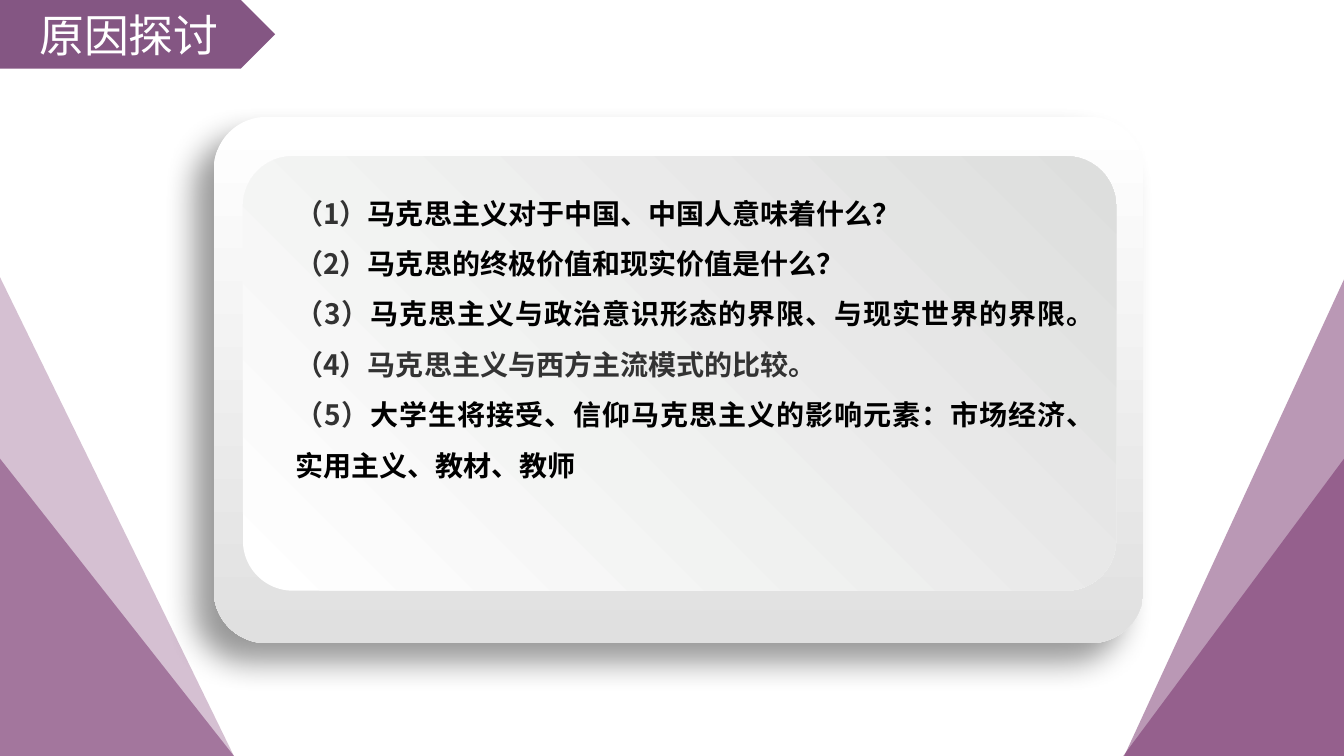
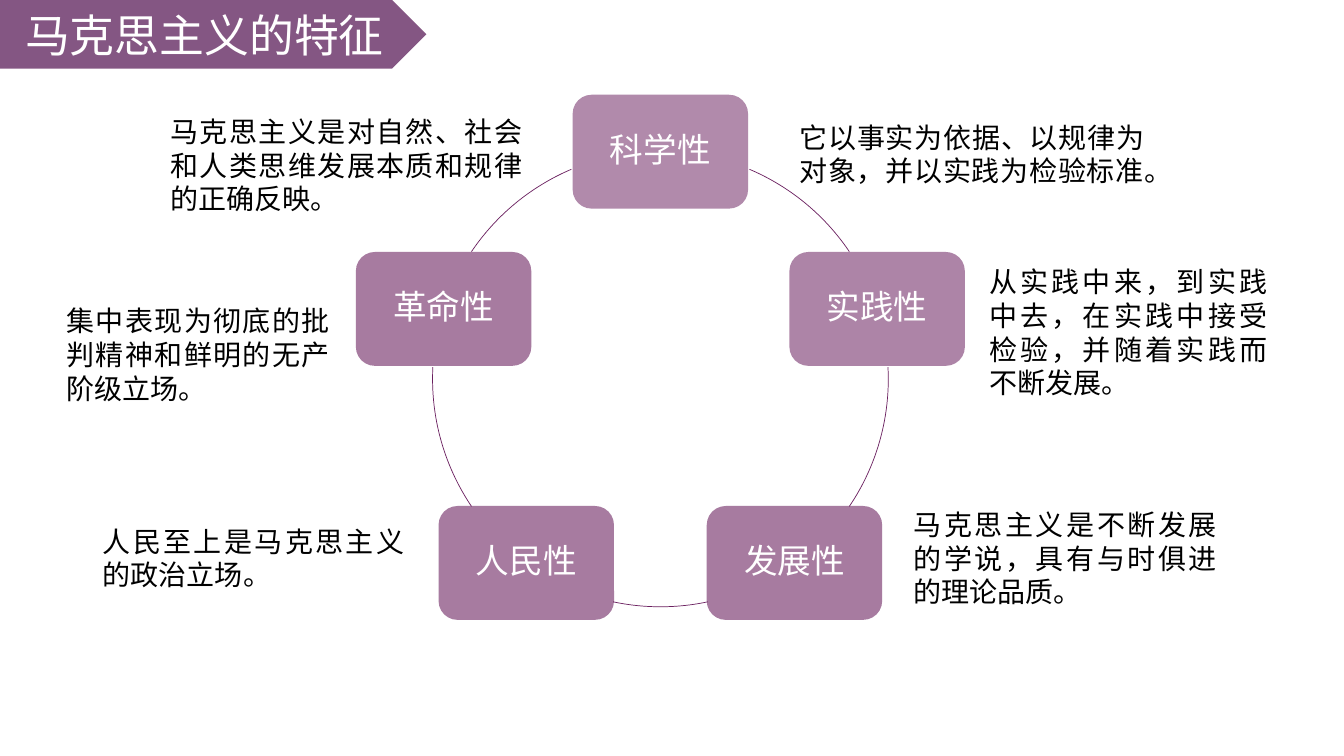
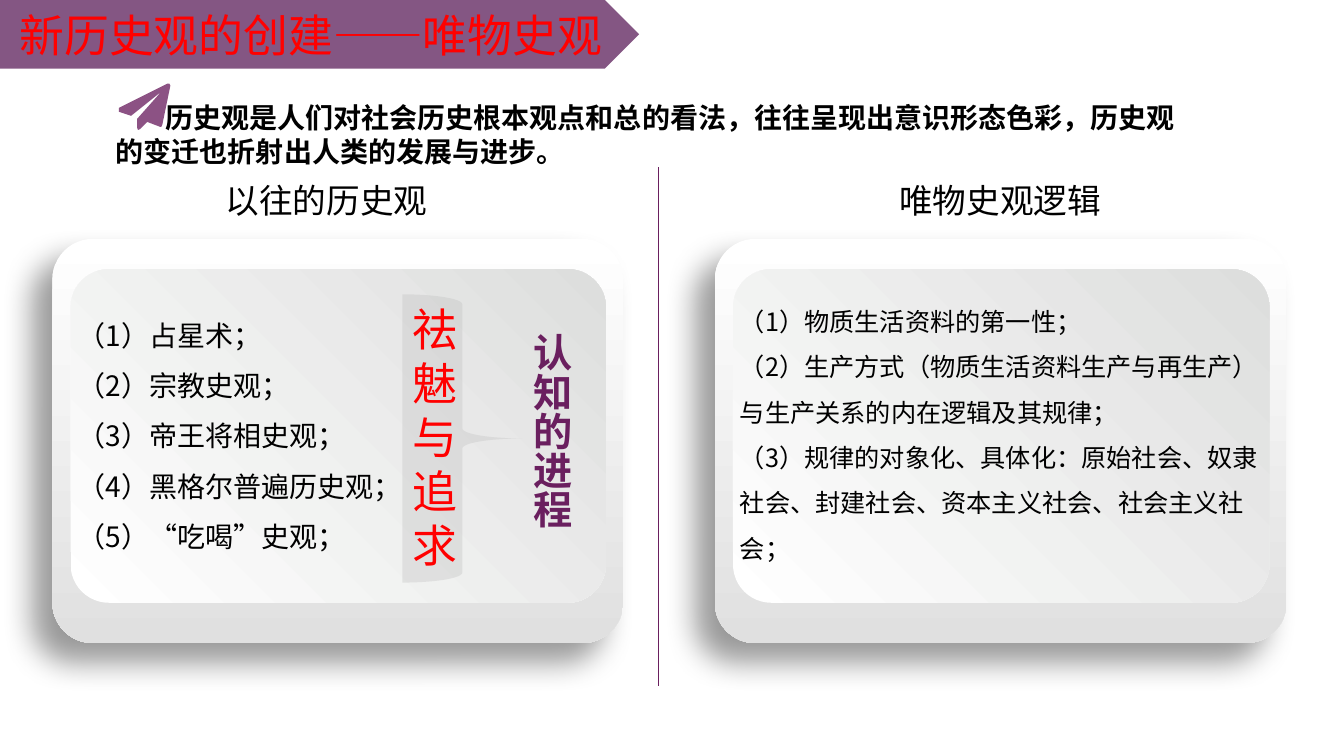
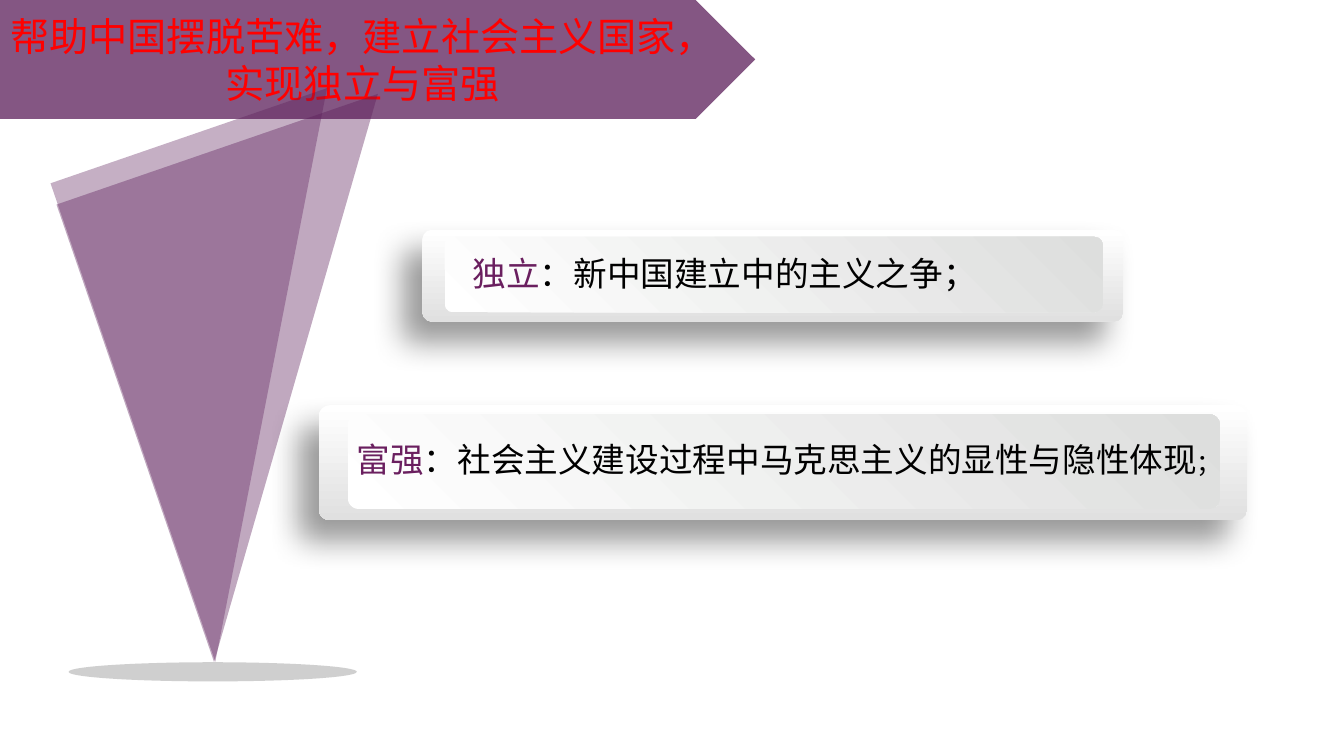
import math

import lxml.etree
import pptx
import pptx.dml.color
import pptx.enum.shapes
import pptx.enum.text
import pptx.oxml.ns
import pptx.util

# Shared style
PX = 9144  # EMU per px, 100 px to the inch
FONT = "Noto Sans CJK SC"
COLORS = {
    "band": "5A1B58",
    "purple": "6A1F5F",
    "white": "FFFFFF",
    "black": "000000",
    "ink": "333333",
    "red": "FF0000",
    "silver": "BFBFBF",
    "rim": "E0E0E0",
    "face": "DDDEDD",
}
SHAPES = pptx.enum.shapes.MSO_SHAPE
ALIGN = pptx.enum.text.PP_ALIGN
ANCHOR = pptx.enum.text.MSO_ANCHOR
qn = pptx.oxml.ns.qn


def rgb(name):
    return pptx.dml.color.RGBColor.from_string(COLORS[name])


def emu(box):
    return [round(value) * PX for value in box]


# Fills and outlines
def fill_solid(shape, color, opacity=100):
    shape.shadow.inherit = False
    shape.line.fill.background()
    shape.fill.solid()
    shape.fill.fore_color.rgb = rgb(color)
    if opacity < 100:
        color_element = shape._element.spPr.find(qn("a:solidFill"))[0]
        alpha = lxml.etree.SubElement(color_element, qn("a:alpha"))
        alpha.set("val", str(opacity * 1000))


def fill_gradient(shape, end_color, angle):
    shape.shadow.inherit = False
    shape.line.fill.background()
    shape.fill.gradient()
    shape.fill.gradient_angle = angle
    for stop, color in zip(shape.fill.gradient_stops, ("white", end_color)):
        stop.color.rgb = rgb(color)


def cast_shadow(shape):
    effects = shape._element.spPr.find(qn("a:effectLst"))
    shadow = lxml.etree.SubElement(effects, qn("a:outerShdw"))
    settings = {"blurRad": 22 * 12700, "dist": 20 * 12700,
                "dir": 135 * 60000, "algn": "tr", "rotWithShape": 0}
    for key, value in settings.items():
        shadow.set(key, str(value))
    color = lxml.etree.SubElement(shadow, qn("a:srgbClr"))
    color.set("val", COLORS["black"])
    lxml.etree.SubElement(color, qn("a:alpha")).set("val", "40000")


# Text
def write_text(shape, paragraphs, size, colors=("black",), bold=False,
               align=ALIGN.LEFT, anchor=ANCHOR.TOP, spacing=None, margin=None):
    """Each paragraph is a list of pieces, coloured in turn by colors."""
    frame = shape.text_frame
    frame.word_wrap = True
    frame.vertical_anchor = anchor
    if margin is not None:
        frame.margin_left = frame.margin_right = margin * PX
    for index, pieces in enumerate(paragraphs):
        paragraph = frame.paragraphs[0] if index == 0 else frame.add_paragraph()
        paragraph.text = pieces[0]
        for piece in pieces[1:]:
            paragraph.add_run().text = piece
        paragraph.alignment = align
        paragraph.line_spacing = spacing
        for run, color in zip(paragraph.runs, colors):
            run.font.size = pptx.util.Pt(size)
            run.font.bold = bold
            run.font.color.rgb = rgb(color)
            run.font.name = FONT
            east_asian = lxml.etree.SubElement(run._r.get_or_add_rPr(), qn("a:ea"))
            east_asian.set("typeface", FONT)
    return frame


def add_text(slide, box, paragraphs, size, **style):
    return write_text(slide.shapes.add_textbox(*emu(box)), paragraphs, size, **style)


# Elements
def add_title(slide, title, width, height=68, size=32, color="white"):
    band = slide.shapes.add_shape(SHAPES.PENTAGON, *emu((0, 0, width, height)))
    fill_solid(band, "band", 74)
    write_text(band, [[title]], size, colors=(color,),
               align=ALIGN.CENTER, anchor=ANCHOR.MIDDLE)


def add_triangle(slide, box, color, opacity, rotation=0, flipped=False):
    triangle = slide.shapes.add_shape(SHAPES.RIGHT_TRIANGLE, *emu(box))
    fill_solid(triangle, color, opacity)
    triangle.rotation = rotation
    if flipped:
        triangle._element.spPr.get_or_add_xfrm().set("flipH", "1")


def add_panel(slide, left, top, width, height):
    """A raised frame with an inset face in fixed proportion."""
    outer = slide.shapes.add_shape(
        SHAPES.ROUNDED_RECTANGLE, *emu((left, top, width, height)))
    outer.adjustments[0] = 0.1
    fill_gradient(outer, "rim", 270)
    cast_shadow(outer)
    inner = slide.shapes.add_shape(SHAPES.ROUNDED_RECTANGLE, *emu((
        left + 0.031 * width, top + 0.075 * height, 0.939 * width, 0.825 * height)))
    inner.adjustments[0] = 0.115
    fill_gradient(inner, "face", 45)


def add_node(slide, center_x, center_y, label, opacity):
    width, height = 174, 113
    node = slide.shapes.add_shape(SHAPES.ROUNDED_RECTANGLE, *emu((
        center_x - width / 2, center_y - height / 2, width, height)))
    fill_solid(node, "purple", opacity)
    frame = write_text(node, [[label]], 24, colors=("white",), align=ALIGN.CENTER,
                       anchor=ANCHOR.MIDDLE, spacing=0.9)
    frame.paragraphs[0].space_after = pptx.util.Pt(8)


def add_arc(slide, center_x, center_y, radius, start, end):
    arc = slide.shapes.add_shape(SHAPES.ARC, *emu((
        center_x - radius, center_y - radius, 2 * radius, 2 * radius)))
    arc.shadow.inherit = False
    arc.fill.background()
    arc.line.color.rgb = rgb("purple")
    arc.line.width = pptx.util.Pt(0.5)
    for index, degrees in enumerate((start, end)):
        arc.adjustments[index] = degrees % 360 * 0.6  # 60000 units per degree


def add_divider(slide, x, top, bottom):
    line = slide.shapes.add_connector(
        pptx.enum.shapes.MSO_CONNECTOR.STRAIGHT, *emu((x, top, x, bottom)))
    line.line.color.rgb = rgb("purple")
    line.line.width = pptx.util.Pt(0.5)
    lxml.etree.SubElement(line._element.spPr, qn("a:effectLst"))


def add_paper_plane(slide):
    points = [(169, 85), (161, 124), (160, 126), (159, 126), (146, 121),
              (139, 128), (137, 129), (136, 127), (136, 118), (160, 91),
              (130, 115), (118, 111), (118, 107), (166, 83), (168, 83)]
    builder = slide.shapes.build_freeform(*points[0], scale=PX)
    builder.add_line_segments(points[1:], close=True)
    fill_solid(builder.convert_to_shape(), "purple", 77)


# Slides
def build_reasons(slide):
    add_title(slide, "原因探讨", 273)
    add_triangle(slide, (0, 275, 232, 475), "purple", 28)
    add_triangle(slide, (0, 455, 232, 295), "purple", 46)
    add_panel(slide, 212, 116, 922, 522)
    add_text(slide, (283, 173, 785, 313), [
        ["（1）", "马克思主义对于中国、中国人意味着什么？"],
        ["（2）", "马克思的终极价值和现实价值是什么？"],
        ["（3）", "马克思主义与政治意识形态的界限、与现实世界的界限。"],
        ["（4）马克思主义与西方主流模式的比较。"],
        ["（5）", "大学生将接受、信仰马克思主义的影响元素：市场经济、实用主义、教材、教师"],
    ], 20, colors=("ink", "black"), bold=True, align=ALIGN.JUSTIFY, spacing=1.5)
    add_triangle(slide, (987, 403, 475, 219), "purple", 46, rotation=270)
    add_triangle(slide, (1076, 493, 295, 219), "purple", 46, rotation=270)


def build_features(slide):
    add_title(slide, "马克思主义的特征", 423)
    center_x, center_y, radius = 655, 376, 226
    nodes = [("科学性", 52), ("实践性", 55), ("发展性", 59), ("人民性", 59), ("革命性", 59)]
    arcs = [(-67, -34), (-3, 34), (78, 102), (146, 183), (214, 247)]
    for index, ((label, opacity), (start, end)) in enumerate(zip(nodes, arcs)):
        angle = math.radians(360 / len(nodes) * index - 90)
        add_node(slide, center_x + radius * math.cos(angle),
                 center_y + radius * math.sin(angle), label, opacity)
        add_arc(slide, center_x, center_y, radius, start, end)
    captions = [
        (152, 93, 383, "马克思主义是对自然、社会和人类思维发展本质和规律的正确反映。"),
        (776, 82, 376, "它以事实为依据、以规律为对象，并以实践为检验标准。"),
        (964, 259, 310, "从实践中来，到实践中去，在实践中接受检验，并随着实践而不断发展。"),
        (49, 281, 295, "集中表现为彻底的批判精神和鲜明的无产阶级立场。"),
        (85, 483, 333, "人民至上是马克思主义的政治立场。"),
        (889, 483, 335, "马克思主义是不断发展的学说，具有与时俱进的理论品质。"),
    ]
    for left, top, width, caption in captions:
        add_text(slide, (left, top, width, 141), [[caption]], 20,
                 align=ALIGN.JUSTIFY, anchor=ANCHOR.MIDDLE, margin=17)


def build_history_views(slide):
    add_title(slide, "新历史观的创建——唯物史观", 634, color="red")
    frame = add_text(slide, (105, 95, 1096, 77), [[
        "历史观是人们对社会历史根本观点和总的看法，往往呈现出意识形态色彩，"
        "历史观的变迁也折射出人类的发展与进步。"]], 20, bold=True)
    frame.paragraphs[0]._p.get_or_add_pPr().set("indent", str(49 * PX))
    add_paper_plane(slide)
    add_divider(slide, 653, 166, 681)

    # Earlier views
    add_text(slide, (214, 174, 242, 50), [["以往的历史观"]], 24)
    add_panel(slide, 52, 237, 566, 401)
    add_text(slide, (67, 294, 345, 263), [
        ["（1）占星术；"],
        ["（2）宗教史观；"],
        ["（3）帝王将相史观；"],
        ["（4）黑格尔普遍历史观；"],
        ["（5）“吃喝”史观；"],
    ], 20, spacing=1.5)
    brace = slide.shapes.add_shape(SHAPES.RIGHT_BRACE, *emu((399, 292, 119, 286)))
    fill_solid(brace, "silver", 34)
    write_text(brace, [["祛魅与追求"]], 32, colors=("red",))
    frame = add_text(slide, (508, 321, 67, 232), [["认知的进程"]], 28,
                     colors=("purple",), bold=True)
    frame._txBody.bodyPr.set("vert", "eaVert")

    # Materialist view
    add_panel(slide, 709, 237, 567, 401)
    add_text(slide, (882, 174, 225, 50), [["唯物史观逻辑"]], 24)
    add_text(slide, (724, 284, 538, 290), [
        ["（1）物质生活资料的第一性；"],
        ["（2）生产方式（物质生活资料生产与再生产）与生产关系的内在逻辑及其规律；"],
        ["（3）规律的对象化、具体化：原始社会、奴隶社会、封建社会、资本主义社会、社会主义社会；"],
    ], 18, spacing=1.5)


def build_independence(slide):
    add_title(slide, "帮助中国摆脱苦难，建立社会主义国家，实现独立与富强",
              749, height=118, size=28, color="red")
    back = (125, 135, 337, 480)
    for box, opacity in ((back, 21), (back, 21), ((124, 121, 290, 502), 35)):
        add_triangle(slide, box, "band", opacity, rotation=161, flipped=True)
    ground = slide.shapes.add_shape(SHAPES.OVAL, *emu((68, 657, 286, 19)))
    fill_solid(ground, "silver", 74)

    add_panel(slide, 419, 228, 695, 91)
    add_text(slide, (459, 246, 634, 50), [["独立", "：新中国建立中的主义之争；"]],
             24, colors=("purple", "black"))
    add_panel(slide, 316, 402, 921, 114)
    frame = add_text(slide, (344, 431, 887, 50), [
        ["富强", "：社会主义建设过程中马克思主义的显性与隐性体现", "；"]],
        24, colors=("purple", "black", "black"))
    frame.paragraphs[0].runs[-1].font.size = pptx.util.Pt(18)


def main():
    presentation = pptx.Presentation()
    presentation.slide_width, presentation.slide_height = emu((1333, 750))
    blank = presentation.slide_layouts[6]
    for build in (build_reasons, build_features, build_history_views, build_independence):
        build(presentation.slides.add_slide(blank))
    presentation.save("out.pptx")


if __name__ == "__main__":
    main()
